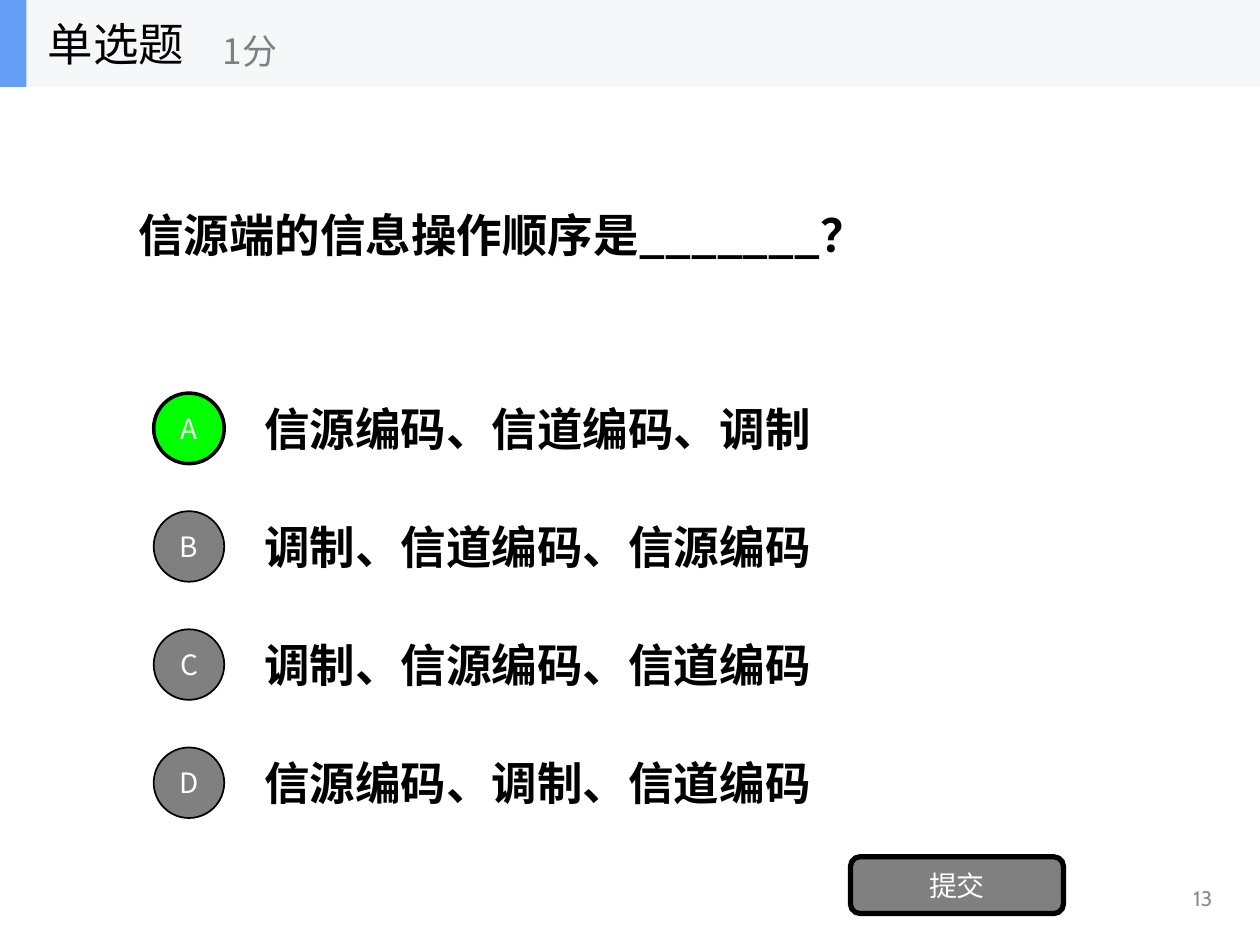
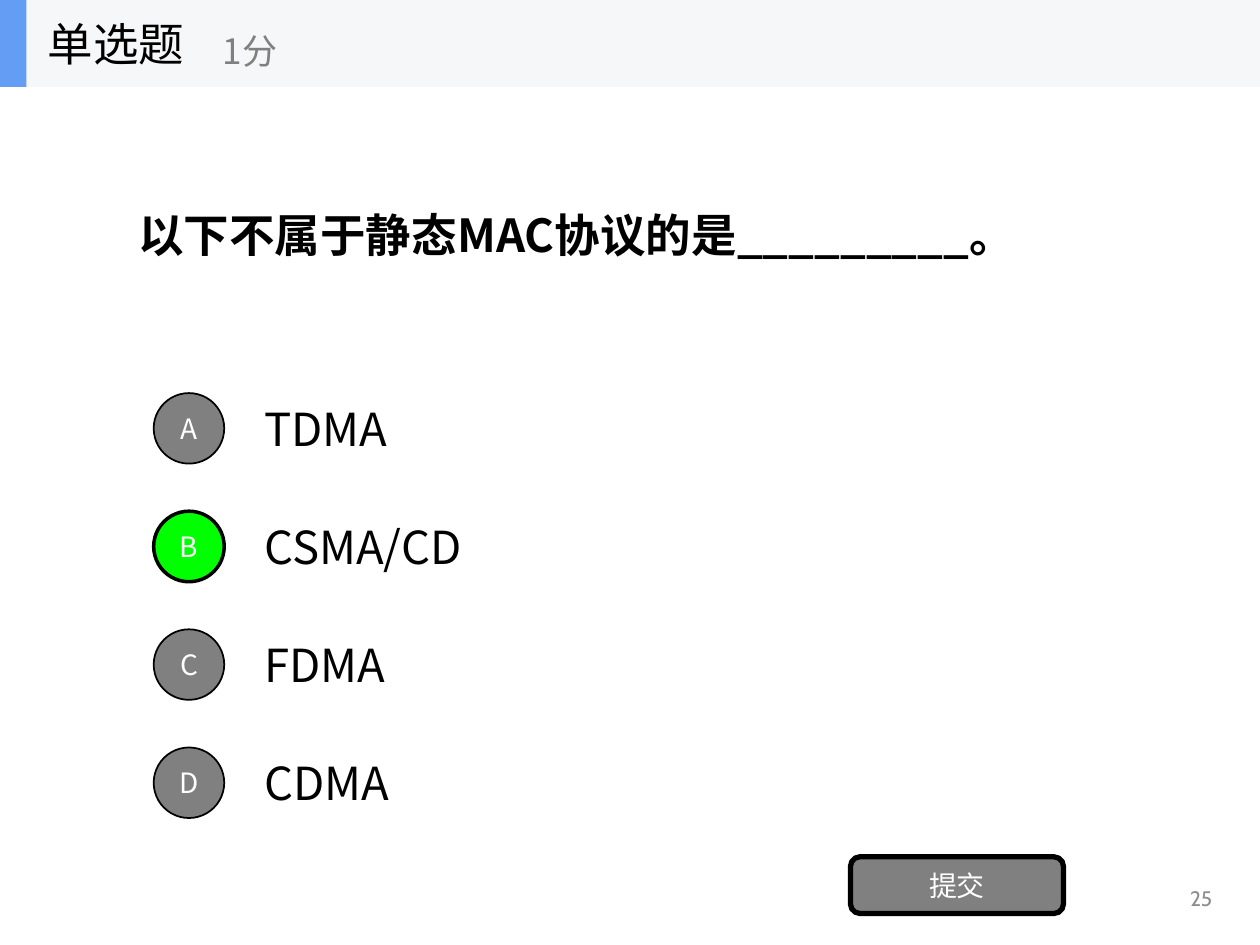
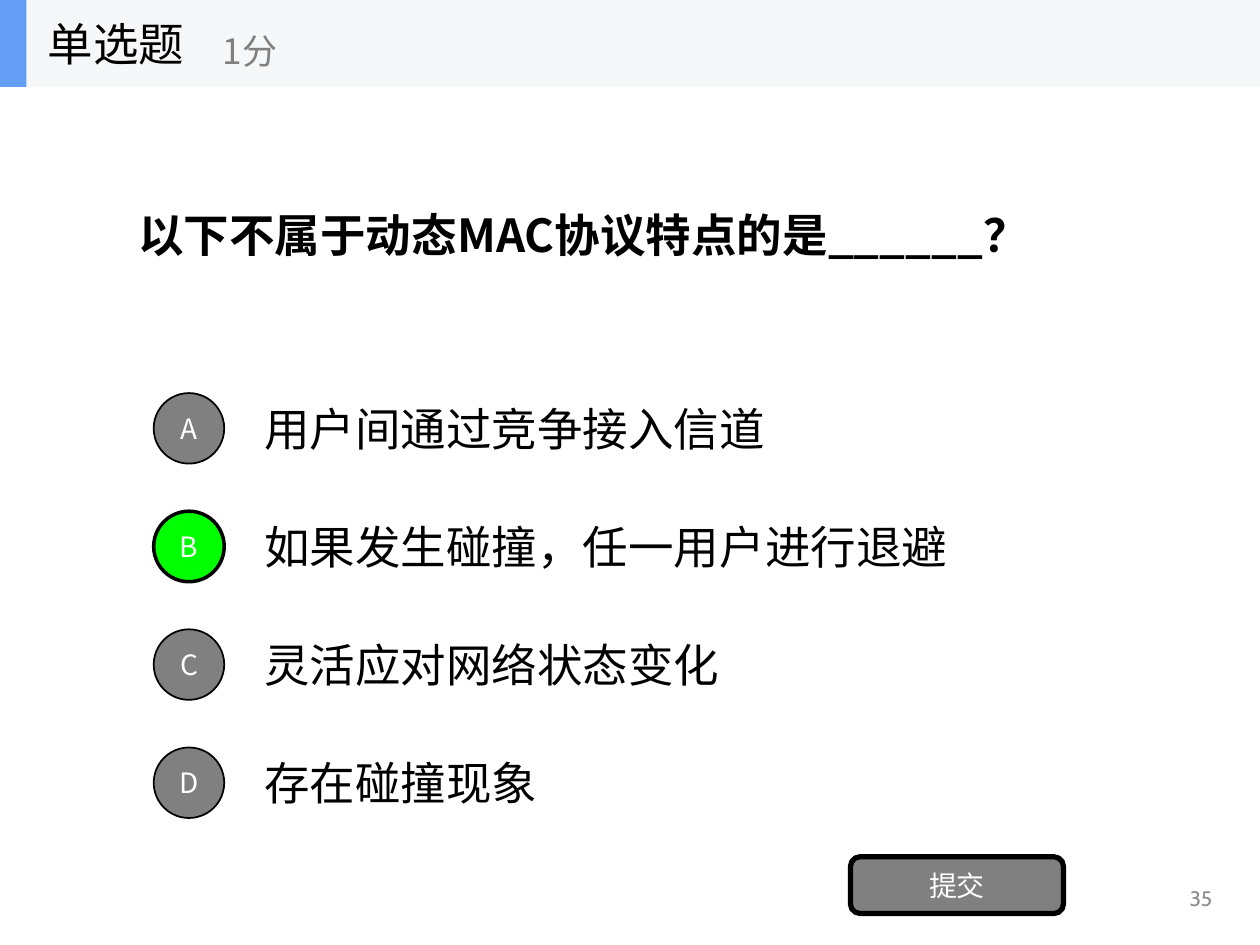
from dataclasses import dataclass

from lxml import etree
from pptx import Presentation
from pptx.dml.color import RGBColor
from pptx.enum.shapes import MSO_SHAPE
from pptx.enum.text import MSO_ANCHOR, PP_ALIGN
from pptx.oxml.ns import qn
from pptx.util import Inches, Pt

RECT, ELLIPSE, ROUNDED = MSO_SHAPE.RECTANGLE, MSO_SHAPE.OVAL, MSO_SHAPE.ROUNDED_RECTANGLE
LEFT, CENTER, RIGHT = PP_ALIGN.LEFT, PP_ALIGN.CENTER, PP_ALIGN.RIGHT
MIDDLE = MSO_ANCHOR.MIDDLE


@dataclass(frozen=True)
class Theme:
    ink: str = "000000"
    white: str = "FFFFFF"
    gray: str = "808080"
    page_gray: str = "8C8C8C"
    correct: str = "00FF00"
    band: str = "F6F7F8"
    accent: str = "639EF4"
    font: str = "Noto Sans CJK SC"
    page_font: str = "Cabin"
    body_size: int = 26
    points_size: int = 20
    button_size: int = 16
    page_size: int = 12


@dataclass(frozen=True)
class Box:
    """A region in inches."""
    left: float
    top: float
    width: float
    height: float

    def inner(self, left, top, width, height):
        """Return a box whose corner is measured from this one's corner."""
        return Box(self.left + left, self.top + top, width, height)

    def lengths(self):
        return [Inches(v) for v in (self.left, self.top, self.width, self.height)]


THEME = Theme()
HEADER = Box(0, 0, 10, 0.69)
QUESTION = Box(1, 0.69, 8, 2.34)
OPTIONS = Box(1, 3.05, 8, 3.75)
SUBMIT = Box(6.75, 6.8, 1.69, 0.45)
PAGE_NUMBER = Box(7.47, 6.93, 2.25, 0.4)

QUIZZES = [
    dict(page=13, question="信源端的信息操作顺序是_______？", answer="A", bold=True,
         options=["信源编码、信道编码、调制", "调制、信道编码、信源编码",
                  "调制、信源编码、信道编码", "信源编码、调制、信道编码"]),
    dict(page=25, question="以下不属于静态MAC协议的是_________。", answer="B",
         options=["TDMA", "CSMA/CD", "FDMA", "CDMA"]),
    dict(page=35, question="以下不属于动态MAC协议特点的是______？", answer="B",
         options=["用户间通过竞争接入信道", "如果发生碰撞，任一用户进行退避",
                  "灵活应对网络状态变化", "存在碰撞现象"]),
]


def write(frame, text, size=THEME.body_size, color=THEME.ink, bold=False,
          font=THEME.font, align=LEFT):
    frame.word_wrap = True
    frame.vertical_anchor = MIDDLE
    paragraph = frame.paragraphs[0]
    paragraph.alignment = align
    run = paragraph.add_run()
    run.text = text
    run.font.size = Pt(size)
    run.font.bold = bold
    run.font.color.rgb = RGBColor.from_string(color)
    run.font.name = font
    east_asian = etree.Element(qn("a:ea"), typeface=font)
    run.font._element.find(qn("a:latin")).addnext(east_asian)


def add_label(shapes, box, text, **text_format):
    write(shapes.add_textbox(*box.lengths()).text_frame, text, **text_format)


def add_block(shapes, kind, box, fill, line_width=0):
    """Add a filled shape, outlined only when line_width is given."""
    block = shapes.add_shape(kind, *box.lengths())
    block.shadow.inherit = False
    block.fill.solid()
    block.fill.fore_color.rgb = RGBColor.from_string(fill)
    if line_width:
        block.line.color.rgb = RGBColor.from_string(THEME.ink)
        block.line.width = Pt(line_width)
    else:
        block.line.fill.background()
    return block


def add_button(shapes, kind, box, text, fill, line_width):
    frame = add_block(shapes, kind, box, fill, line_width).text_frame
    frame.margin_left = frame.margin_right = frame.margin_top = frame.margin_bottom = 0
    write(frame, text, size=THEME.button_size, color=THEME.white, align=CENTER)


def add_header(slide, box):
    shapes = slide.shapes.add_group_shape().shapes
    add_block(shapes, RECT, box, THEME.band)
    add_block(shapes, RECT, box.inner(0, 0, 0.21, box.height), THEME.accent)
    add_label(shapes, box.inner(0.28, 0, 2.08, box.height), "单选题")
    add_label(shapes, box.inner(1.67, 0.12, 2.5, 0.56), "1分",
              size=THEME.points_size, color=THEME.gray)


def add_options(slide, box, options, answer, bold):
    """Stack the options in equal rows, with the answer's letter highlighted."""
    pitch = box.height / len(options)
    for row, (letter, option) in enumerate(zip("ABCD", options)):
        top = row * pitch
        add_label(slide.shapes, box.inner(1, top, box.width - 1, 0.7), option, bold=bold)
        fill, line_width = (THEME.correct, 2) if letter == answer else (THEME.gray, 1)
        add_button(slide.shapes, ELLIPSE, box.inner(0.22, top + 0.07, 0.56, 0.56),
                   letter, fill, line_width)


def add_quiz_slide(deck, page, question, options, answer, bold=False):
    slide = deck.slides.add_slide(deck.slide_layouts[6])
    add_label(slide.shapes, PAGE_NUMBER, str(page), size=THEME.page_size,
              color=THEME.page_gray, font=THEME.page_font, align=RIGHT)
    add_label(slide.shapes, QUESTION, question, bold=True)
    add_options(slide, OPTIONS, options, answer, bold)
    add_button(slide.shapes, ROUNDED, SUBMIT, "提交", THEME.gray, 3)
    add_header(slide, HEADER)


def main():
    deck = Presentation()
    deck.slide_width, deck.slide_height = Inches(10), Inches(7.5)
    for quiz in QUIZZES:
        add_quiz_slide(deck, **quiz)
    deck.save("out.pptx")


if __name__ == "__main__":
    main()
